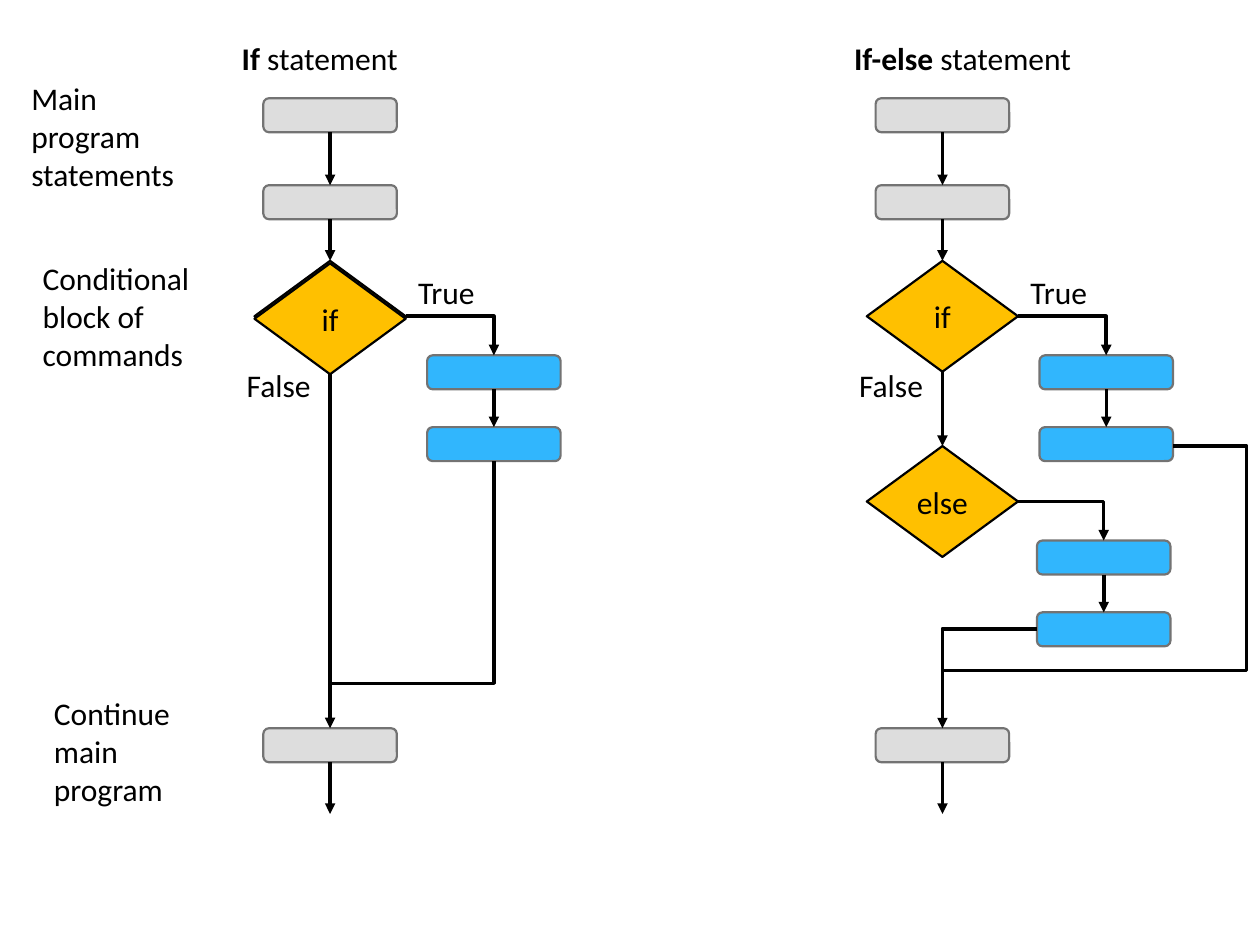
import pptx
import pptx.util
import pptx.dml.color
import pptx.enum.shapes
import pptx.enum.text
import pptx.oxml.ns
import lxml.etree

Inches = pptx.util.Inches
Pt = pptx.util.Pt
RGBColor = pptx.dml.color.RGBColor
Shape = pptx.enum.shapes.MSO_SHAPE
Link = pptx.enum.shapes.MSO_CONNECTOR
Align = pptx.enum.text.PP_ALIGN
Anchor = pptx.enum.text.MSO_ANCHOR
qn = pptx.oxml.ns.qn

BLACK = RGBColor(0, 0, 0)
WHITE = RGBColor(255, 255, 255)
SILVER = RGBColor(0xDD, 0xDD, 0xDD)
GREY = RGBColor(0x73, 0x73, 0x73)
GOLD = RGBColor(0xFF, 0xC0, 0x00)
BLUE = RGBColor(0x31, 0xB6, 0xFD)


class Chart:
    font = "Calibri"
    size = Pt(18)
    wide, high = 1.06, 0.27

    def __init__(self, slide):
        self.slide = slide

    def style(self, run, bold=False):
        run.font.name = self.font
        run.font.size = self.size
        run.font.bold = bold
        run.font.color.rgb = BLACK

    def shape(self, kind, x, y, w, h, fill, edge=None):
        item = self.slide.shapes.add_shape(kind, Inches(x), Inches(y), Inches(w), Inches(h))
        item.shadow.inherit = False
        item.fill.solid()
        item.fill.fore_color.rgb = fill
        if edge is None:
            item.line.fill.background()
        else:
            item.line.color.rgb = edge
            item.line.width = Pt(1.25)
        return item

    def step(self, mid, y, fill):
        self.shape(Shape.ROUNDED_RECTANGLE, mid - self.wide / 2, y,
                   self.wide, self.high, fill, GREY)

    def test(self, mid, y, text=""):
        item = self.shape(Shape.DIAMOND, mid - 0.6, y, 1.2, 0.88, GOLD, BLACK)
        if text:
            frame = item.text_frame
            frame.margin_left = frame.margin_right = 0
            frame.vertical_anchor = Anchor.MIDDLE
            frame.text = text
            frame.paragraphs[0].alignment = Align.CENTER
            self.style(frame.paragraphs[0].runs[0])

    def label(self, x, y, w, h, text, bold=""):
        box = self.slide.shapes.add_textbox(Inches(x), Inches(y), Inches(w), Inches(h))
        box.text_frame.word_wrap = True
        para = box.text_frame.paragraphs[0]
        for part, heavy in ((bold, True), (text, False)):
            if part:
                run = para.add_run()
                run.text = part
                self.style(run, heavy)

    def line(self, x1, y1, x2, y2, head=True, kind=Link.STRAIGHT):
        item = self.slide.shapes.add_connector(
            kind, Inches(x1), Inches(y1), Inches(x2), Inches(y2))
        item.line.color.rgb = BLACK
        item.line.width = Pt(2)
        props = item._element.spPr
        if head:
            lxml.etree.SubElement(props.find(qn("a:ln")), qn("a:tailEnd"), type="triangle")
        lxml.etree.SubElement(props, qn("a:effectLst"))
        return props

    def turn(self, x1, y1, x2, y2):
        props = self.line(x1, y1, x2, y2, kind=Link.ELBOW)
        props.find(qn("a:prstGeom")).set("prst", "bentConnector2")

    def bend(self, x1, y1, x2, y2, ratio, angle=0):
        props = self.line(x1, y1, x2, y2, False, Link.ELBOW)
        guides = props.find(qn("a:prstGeom")).find(qn("a:avLst"))
        lxml.etree.SubElement(guides, qn("a:gd"), name="adj1",
                              fmla=f"val {round(ratio * 100000)}")
        if angle:
            props.find(qn("a:xfrm")).set("rot", str(angle * 60000))

    def branch(self, mid, side, y):
        for top in (y + 0.75, y + 1.32):
            self.step(side, top, BLUE)
        self.turn(mid + 0.6, y + 0.44, side, y + 0.75)
        self.line(side, y + 1.02, side, y + 1.32)

    def flow(self, mid, name, wide):
        for top in (0.78, 1.47, 5.78):
            self.step(mid, top, SILVER)
        for start, end in ((1.05, 1.47), (1.74, 2.07), (6.05, 6.46)):
            self.line(mid, start, mid, end)
        self.branch(mid, mid + 1.3, 2.07)
        self.label(mid - 0.8, 0.26, wide, 0.4, "statement", name)
        self.label(mid + 0.6, 2.12, 0.7, 0.4, "True")
        self.label(mid - 0.76, 2.86, 0.76, 0.4, "False")


def main():
    deck = pptx.Presentation()
    deck.slide_width = Inches(10)
    deck.slide_height = Inches(7.5)
    chart = Chart(deck.slides.add_slide(deck.slide_layouts[6]))
    chart.shape(Shape.RECTANGLE, 0, 0, 10, 7.18, WHITE)

    left, right = 2.62, 7.48
    chart.test(left, 2.07)
    chart.flow(left, "If ", 1.7)
    chart.line(left, 2.95, left, 5.78)
    chart.bend(2.29, 3.99, 4.25, 5.29, 0.9, 90)
    chart.test(left, 2.09, "if")
    for x, y, text in ((0.15, 0.58, "Main program statements"),
                       (0.24, 2.01, "Conditional block of commands"),
                       (0.33, 5.46, "Continue main program")):
        chart.label(x, y, 1.44, 1.01, text)

    chart.test(right, 2.07, "if")
    chart.flow(right, "If-else ", 2.23)
    chart.bend(9.31, 3.54, right, 5.32, -0.32)
    chart.test(right, 3.54, "else")
    chart.branch(right, 8.76, 3.54)
    chart.turn(8.23, 4.99, right, 5.78)
    chart.line(right, 2.95, right, 3.54)
    deck.save("out.pptx")


if __name__ == "__main__":
    main()
